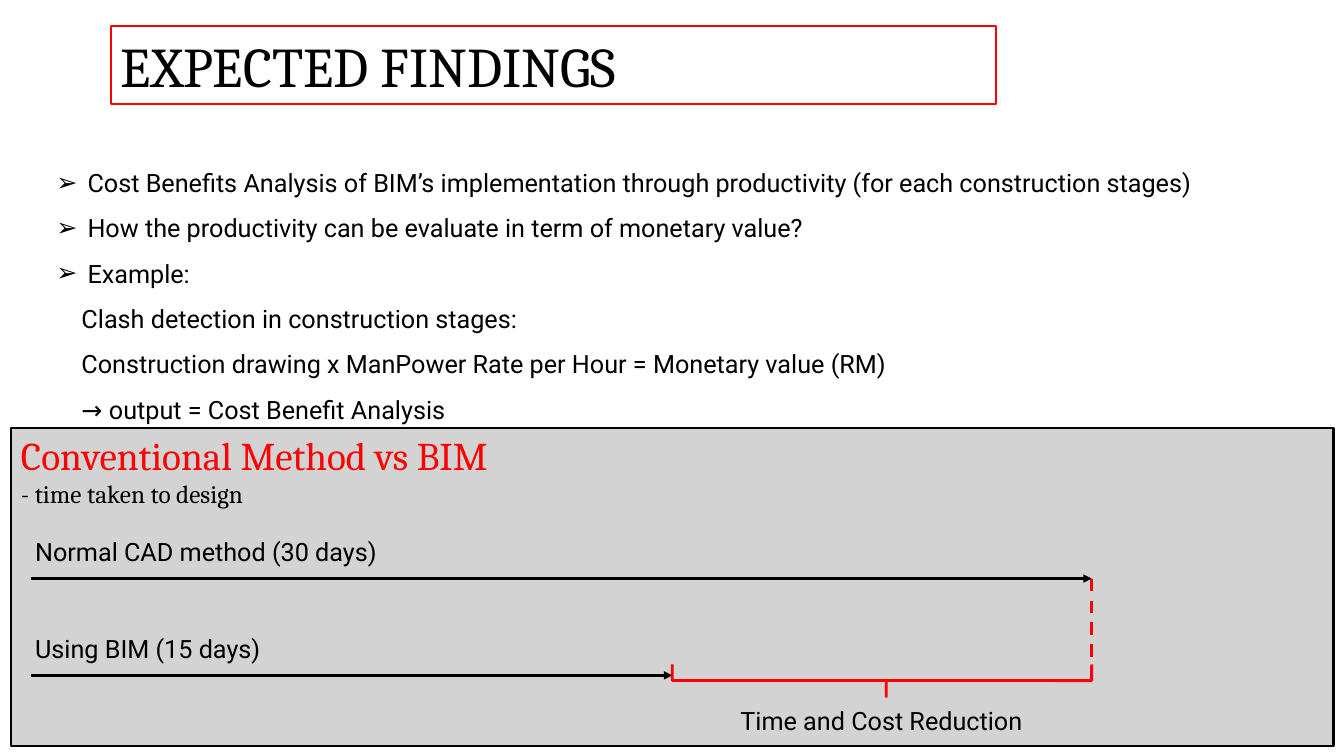
from dataclasses import dataclass

from lxml.etree import SubElement
from pptx import Presentation
from pptx.dml.color import RGBColor
from pptx.enum.dml import MSO_LINE_DASH_STYLE as Dash
from pptx.enum.shapes import MSO_CONNECTOR_TYPE as Link, MSO_SHAPE as Preset
from pptx.enum.text import MSO_ANCHOR as Anchor, MSO_AUTO_SIZE as Fit, PP_ALIGN as Align
from pptx.oxml.ns import qn
from pptx.util import Inches, Pt

COLORS = {"ink": "000000", "accent": "FF0000", "panel": "D3D3D3"}
SERIF, SANS = "Cambria", "Roboto"
WIDTH, HEIGHT = Inches(13.33), Inches(7.5)
COLUMNS, ROWS = 160, 90

FINDINGS = [
    "Cost Benefits Analysis of BIM’s implementation through productivity (for each construction stages)",
    "How the productivity can be evaluate in term of monetary value?",
    "Example:",
]
EXAMPLE = [
    "Clash detection in construction stages:",
    "Construction drawing x ManPower Rate per Hour = Monetary value (RM)",
    "→ output = Cost Benefit Analysis",
]


@dataclass
class Box:
    column: float
    row: float
    columns: float
    rows: float

    def inner(self, column, row, columns, rows):
        return Box(self.column + column, self.row + row, columns, rows)

    def frame(self):
        return (across(self.column), down(self.row), across(self.columns), down(self.rows))


def across(columns):
    return round(WIDTH * columns / COLUMNS)


def down(rows):
    return round(HEIGHT * rows / ROWS)


def color(name):
    return RGBColor.from_string(COLORS[name])


def assign(target, values):
    for name, value in values.items():
        setattr(target, name, value)


def write(para, text, size=18, font=SANS, ink="ink"):
    span = para.add_run()
    span.text = text
    assign(span.font, {"size": Pt(size), "name": font, "bold": False})
    span.font.color.rgb = color(ink)


def outline(line, ink, width):
    line.color.rgb = color(ink)
    line.width = Pt(width)


def add_text(page, box, lines, align=Align.LEFT, anchor=Anchor.TOP):
    frame = page.shapes.add_textbox(*box.frame()).text_frame
    assign(frame, {"word_wrap": True, "vertical_anchor": anchor})
    for index, (text, style) in enumerate(lines):
        para = frame.add_paragraph() if index else frame.paragraphs[0]
        para.alignment = align
        write(para, text, **style)
    return frame


def add_line(page, box, ink, width, dash=None, arrow=False):
    left, top, wide, high = box.frame()
    link = page.shapes.add_connector(Link.STRAIGHT, left, top, left + wide, top + high)
    outline(link.line, ink, width)
    if dash:
        link.line.dash_style = dash
    props = link._element.spPr
    if arrow:
        SubElement(props.find(qn("a:ln")), qn("a:tailEnd"), type="triangle")
    SubElement(props, qn("a:effectLst"))


def add_outlined(page, preset, box, ink, width, fill=None):
    shape = page.shapes.add_shape(preset, *box.frame())
    shape.shadow.inherit = False
    outline(shape.line, ink, width)
    if fill:
        shape.fill.solid()
        shape.fill.fore_color.rgb = color(fill)
    else:
        shape.fill.background()
    return shape


def place_title(page, box):
    title = page.shapes.title
    assign(title, dict(zip(("left", "top", "width", "height"), box.frame())))
    outline(title.line, "accent", 1.25)
    assign(title.text_frame, {"auto_size": Fit.NONE, "vertical_anchor": Anchor.TOP})
    para = title.text_frame.paragraphs[0]
    para.alignment = Align.LEFT
    write(para, "EXPECTED FINDINGS", 40, SERIF)


def place_findings(page, box):
    lines = [(text, {}) for text in FINDINGS + EXAMPLE]
    frame = add_text(page, box, lines, Align.JUSTIFY)
    for index, para in enumerate(frame.paragraphs):
        para.line_spacing = 1.5
        props = para._p.get_or_add_pPr()
        if index < len(FINDINGS):
            indent = across(3.72)
            props.set("marL", str(indent))
            props.set("indent", str(-indent))
            SubElement(props, qn("a:buFont"), typeface="Arial")
            SubElement(props, qn("a:buChar"), char="➢")
        else:
            props.set("marL", str(across(3)))


def place_comparison(page, box):
    start, cad_end, bim_end = 2.4, 128.64, 78.72
    cad_row, bim_row = 17.88, 29.4
    add_outlined(page, Preset.RECTANGLE, box, "ink", 1.5, "panel")
    add_line(page, box.inner(cad_end, cad_row, 0, 13), "accent", 2.25, dash=Dash.DASH)
    heading = [
        ("Conventional Method vs BIM", {"size": 28, "font": SERIF, "ink": "accent"}),
        ("- time taken to design", {"font": SERIF}),
    ]
    add_text(page, box.inner(0, -0.24, 63.5, 10.56), heading)
    for label, end, row in (
        ("Normal CAD method (30 days)", cad_end, cad_row),
        ("Using BIM (15 days)", bim_end, bim_row),
    ):
        add_line(page, box.inner(start, row, end - start, 0), "ink", 1.75, arrow=True)
        add_text(page, box.inner(1.68, row - 5.6, 49.7, 4.8), [(label, {})])
    place_saving(page, box.inner(bim_end, bim_row - 1.3, cad_end - bim_end, 3.84))


def place_saving(page, box):
    caption = box.inner(6.84, 2.5, 36.12, 8.28)
    add_text(page, caption, [("Time and Cost Reduction", {})], Align.CENTER, Anchor.MIDDLE)
    shift = (box.columns - box.rows) / 2
    upright = box.inner(shift, -shift, box.rows, box.columns)
    brace = add_outlined(page, Preset.RIGHT_BRACE, upright, "accent", 2)
    brace.rotation = 90
    brace.adjustments[0] = 0
    brace.adjustments[1] = 0.49


def build():
    deck = Presentation()
    assign(deck, {"slide_width": WIDTH, "slide_height": HEIGHT})
    page = deck.slides.add_slide(deck.slide_layouts.get_by_name("Title Only"))
    place_title(page, Box(13.2, 3.12, 105.36, 9.24))
    place_findings(page, Box(5.52, 17.52, 150.24, 33.24))
    place_comparison(page, Box(1.32, 51, 157.44, 37.8))
    deck.save("out.pptx")


build()
